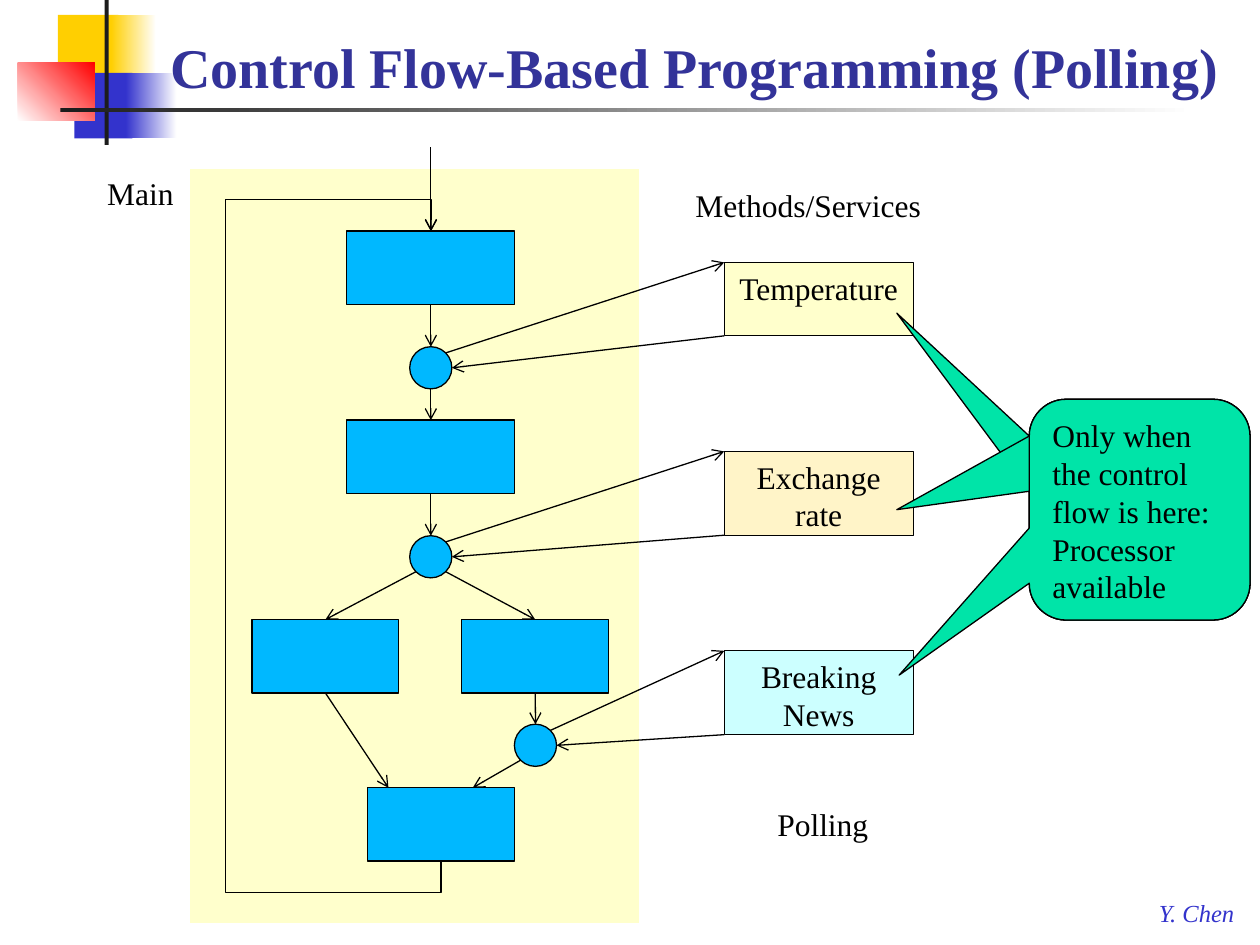
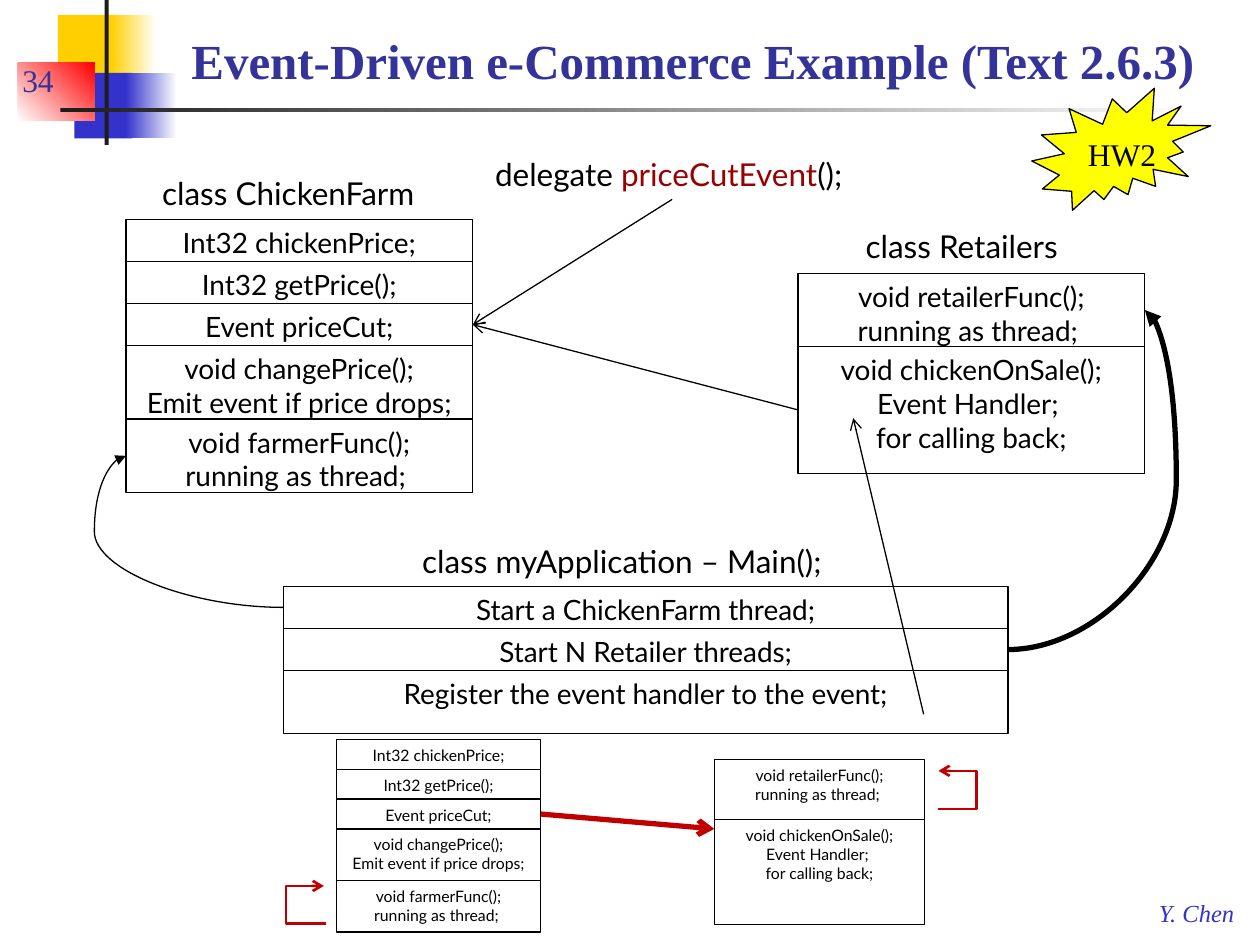
from itertools import accumulate
from lxml.etree import SubElement
from pptx import Presentation
from pptx.dml.color import RGBColor
from pptx.enum.shapes import MSO_CONNECTOR, MSO_SHAPE
from pptx.enum.text import MSO_ANCHOR, PP_ALIGN
from pptx.oxml.ns import qn
from pptx.util import Cm, Pt

BLACK = RGBColor(0x00, 0x00, 0x00)
WHITE = RGBColor(0xFF, 0xFF, 0xFF)
COAL = RGBColor(0x1C, 0x1C, 0x1C)
GOLD = RGBColor(0xFF, 0xCF, 0x01)
BLUE = RGBColor(0x33, 0x33, 0xCC)
NAVY = RGBColor(0x33, 0x33, 0x99)
RED = RGBColor(0xFF, 0x00, 0x00)
BRICK = RGBColor(0xC0, 0x00, 0x00)
WINE = RGBColor(0x99, 0x00, 0x00)
SKY = RGBColor(0x00, 0xB8, 0xFF)
CREAM = RGBColor(0xFF, 0xFF, 0xCC)
SAND = RGBColor(0xFF, 0xF4, 0xC8)
ICE = RGBColor(0xCC, 0xFF, 0xFF)
MINT = RGBColor(0x00, 0xE4, 0xA8)
YELLOW = RGBColor(0xFF, 0xFF, 0x00)

SERIF = dict(name="Times New Roman", size=Pt(18))
HEAD = dict(SERIF, size=Pt(32), bold=True)
SIGN = dict(SERIF, size=Pt(14), italic=True)
SANS = dict(name="Lato", size=Pt(18))
ROW = dict(SANS, size=Pt(16))
SMALL = dict(SANS, size=Pt(9))

DECOR = [
    ((1.17, 0.3, 1.22, 1.32), (GOLD,), 0),
    ((2.24, 0.3, 0.91, 1.32), (GOLD, WHITE), 0),
    ((1.5, 1.47, 1.17, 1.32), (BLUE,), 0),
    ((2.54, 1.47, 1.02, 1.32), (BLUE, WHITE), 0),
    ((0.36, 1.27, 1.55, 1.17), (WHITE, RED), 45),
    ((2.11, 0, 0.08, 2.92), (COAL,), 0),
    ((1.22, 2.18, 22.86, 0.08), (COAL, WHITE), 0),
]

STEPS = dict(
    first=(6.99, 4.66, 3.39, 1.48),
    second=(6.99, 8.47, 3.39, 1.48),
    left=(5.08, 12.49, 2.96, 1.48),
    right=(9.31, 12.49, 2.96, 1.48),
    last=(7.41, 15.88, 2.96, 1.48),
)
DOT = 0.85
POLLS = [
    ((8.26, 6.99), "Temperature", CREAM, 5.29, 1.48),
    ((8.26, 10.8), "Exchange rate", SAND, 9.1, 1.69),
    ((10.37, 14.6), "Breaking News", ICE, 13.12, 1.69),
]
LOOP = [(8.89, 17.36), (8.89, 17.99), (4.55, 17.99), (4.55, 4.02), (8.69, 4.02), (8.69, 4.66)]
NOTE = "Only when the control flow is here: Processor available"
TIPS = [(-1.1, -0.89, ""), (-1.1, 0, ""), (-1.09, 0.75, NOTE)]

FARM = [
    ["Int32 chickenPrice;"],
    ["Int32 getPrice();"],
    ["Event priceCut;"],
    ["void changePrice();", "Emit event if price drops;"],
    ["void farmerFunc();", "running as thread; "],
]
SHOP = [
    ["void retailerFunc();", "running as thread; "],
    ["void chickenOnSale();", "Event Handler; ", "for calling back;"],
]
MAIN = [
    ["Start a ChickenFarm thread;"],
    ["Start N Retailer threads;"],
    ["Register the event handler to the event;"],
]
NAMES = [
    ((3.02, 3.38, 5.66, 1.02), ["class ChickenFarm"]),
    ((17.2, 4.45, 4.5, 1.02), ["class Retailers"]),
    ((8.26, 10.8, 8.81, 1.02), ["class myApplication – Main();"]),
    ((9.73, 3, 11, 1.02), [[("delegate ", BLACK), ("priceCutEvent", WINE), ("();", BLACK)]]),
]
TURNS = [
    [(6.58, 18.62), (5.77, 18.62), (5.77, 17.86), (6.53, 17.86)],
    [(18.9, 16.31), (19.69, 16.31), (19.69, 15.54), (18.92, 15.54)],
]


def write(shape, lines, fmt, ink=BLACK, align=PP_ALIGN.LEFT, anchor=MSO_ANCHOR.TOP, wrap=True):
    frame = shape.text_frame
    frame.word_wrap = wrap
    frame.vertical_anchor = anchor
    for i, line in enumerate(lines):
        para = frame.add_paragraph() if i else frame.paragraphs[0]
        para.alignment = align
        for text, color in [(line, ink)] if isinstance(line, str) else line:
            run = para.add_run()
            run.text = text
            for key, value in fmt.items():
                setattr(run.font, key, value)
            run.font.color.rgb = color


def label(slide, box, lines, fmt, **more):
    shape = slide.shapes.add_textbox(*map(Cm, box))
    write(shape, lines, fmt, **more)
    return shape


def block(slide, box, fill, edge=BLACK, kind=MSO_SHAPE.RECTANGLE):
    shape = slide.shapes.add_shape(kind, *map(Cm, box))
    shape.shadow.inherit = False
    shape.fill.solid()
    shape.fill.fore_color.rgb = fill
    if edge is None:
        shape.line.fill.background()
    else:
        shape.line.color.rgb = edge
        shape.line.width = Pt(0.75)
    return shape


def stroke(shape, ink, width, tip):
    shape.line.color.rgb = ink
    shape.line.width = Pt(width)
    SubElement(shape.line._get_or_add_ln(), qn("a:tailEnd"), type=tip)


def spot(end):
    if isinstance(end[0], (int, float)):
        return tuple(map(Cm, end))
    shape, side = end
    across, down = [(0.5, 0), (0, 0.5), (0.5, 1), (1, 0.5)][side]
    return int(shape.left + across * shape.width), int(shape.top + down * shape.height)


def link(slide, start, end, ink=BLACK, width=0.75, tip="arrow", bend=None):
    kind = MSO_CONNECTOR.STRAIGHT if bend is None else MSO_CONNECTOR.CURVE
    line = slide.shapes.add_connector(kind, *spot(start), *spot(end))
    for point, join in ((start, line.begin_connect), (end, line.end_connect)):
        if not isinstance(point[0], (int, float)):
            join(*point)
    stroke(line, ink, width, tip)
    props = line._element.spPr
    SubElement(props, qn("a:effectLst"))
    if bend is not None:
        guides = props.find(qn("a:prstGeom")).get_or_add_avLst()
        SubElement(guides, qn("a:gd"), name="adj1", fmla=f"val {round(bend * 100000)}")


def trace(slide, points, ink, width):
    first, *rest = [tuple(map(Cm, p)) for p in points]
    pen = slide.shapes.build_freeform(*first, scale=1.0)
    pen.add_line_segments(rest, close=False)
    shape = pen.convert_to_shape()
    shape.shadow.inherit = False
    shape.fill.background()
    stroke(shape, ink, width, "arrow")


def stack(slide, x, y, width, heights, rows, fmt):
    shapes = []
    for top, height, lines in zip(accumulate(heights, initial=y), heights, rows):
        shape = block(slide, (x, top, width, height), WHITE)
        write(shape, lines, fmt, align=PP_ALIGN.CENTER)
        shapes.append(shape)
    return shapes


def begin(deck, title, box, size):
    slide = deck.slides.add_slide(deck.slide_layouts[6])
    for place, colors, angle in DECOR:
        shape = block(slide, place, colors[0], None)
        if len(colors) > 1:
            shape.fill.gradient()
            shape.fill.gradient_angle = angle
            for stop, color in zip(shape.fill.gradient_stops, colors):
                stop.color.rgb = color
    label(slide, (23.11, 17.98, 2.08, 0.84), ["Y. Chen"], SIGN, ink=BLUE, wrap=False)
    label(slide, box, [title], dict(HEAD, size=Pt(size)), ink=NAVY, anchor=MSO_ANCHOR.BOTTOM)
    return slide


def polling(deck):
    slide = begin(deck, "Control Flow-Based Programming (Polling)", (3.18, 0.56, 21.79, 1.57), 32)
    block(slide, (3.81, 3.39, 9.08, 15.24), CREAM, WHITE)
    for text, box in (
        ("Main", (1.91, 3.38, 1.85, 1.02)),
        ("Methods/Services", (13.77, 3.63, 5.1, 1.02)),
        ("Polling", (15.42, 16.1, 2.36, 1.02)),
    ):
        label(slide, box, [text], SERIF, wrap=False)
    step = {name: block(slide, box, SKY) for name, box in STEPS.items()}

    half = DOT / 2
    skew = half * 0.707
    dots, mids = [], []
    for (x, y), text, fill, top, height in POLLS:
        dots.append(block(slide, (x, y, DOT, DOT), SKY, kind=MSO_SHAPE.OVAL))
        mx, my = x + half, y + half
        mids.append((mx, my))
        service = block(slide, (14.6, top, 3.81, height), fill)
        write(service, [text], SERIF, align=PP_ALIGN.CENTER)
        link(slide, (mx + skew, my - skew), (14.6, top))
        link(slide, (14.6, top + height), (x + DOT, my))

    (ax, ay), (bx, by), (cx, cy) = mids
    for start, end in (
        ((ax, 2.97), (step["first"], 0)),
        ((step["first"], 2), (dots[0], 0)),
        ((ax, ay + half), (step["second"], 0)),
        ((step["second"], 2), (dots[1], 0)),
        ((bx - skew, by + skew), (step["left"], 0)),
        ((bx + skew, by + skew), (step["right"], 0)),
        ((step["right"], 2), (dots[2], 0)),
        ((step["left"], 2), (7.83, 15.88)),
        ((cx - skew, cy + skew), (9.53, 15.88)),
    ):
        link(slide, start, end)
    trace(slide, LOOP, BLACK, 0.75)

    for across, down, text in TIPS:
        note = block(slide, (20.75, 8.05, 4.45, 4.45), MINT, kind=MSO_SHAPE.ROUNDED_RECTANGULAR_CALLOUT)
        for i, value in enumerate((across, down, 0.167)):
            note.adjustments[i] = value
        if text:
            write(note, [text], SERIF)


def events(deck):
    slide = begin(deck, "Event-Driven e-Commerce Example (Text 2.6.3)", (3.61, 0.2, 21.59, 1.73), 28)
    label(slide, (0.2, 0.84, 5.28, 1.27), ["34"], SERIF, ink=NAVY, anchor=MSO_ANCHOR.BOTTOM)
    farm = stack(slide, 2.54, 4.42, 6.99, [0.85] * 3 + [1.48] * 2, FARM, ROW)
    shop = stack(slide, 16.09, 5.51, 6.99, [1.48, 2.55], SHOP, ROW)
    main = stack(slide, 5.72, 11.82, 14.6, [0.85, 0.85, 1.27], MAIN, ROW)
    mini = stack(slide, 6.78, 14.91, 4.12, [0.6] * 3 + [1.04] * 2, FARM, SMALL)
    stack(slide, 14.4, 15.31, 4.24, [1.21, 2.12], SHOP, SMALL)
    for box, lines in NAMES:
        label(slide, box, lines, SANS, wrap=False)

    link(slide, (main[0], 1), (farm[4], 1), tip="triangle", bend=1.2)
    link(slide, (main[1], 3), (shop[0], 3), width=3, tip="triangle", bend=1.23)
    link(slide, (18.62, 14.4), (17.2, 8.43))
    link(slide, (shop[1], 1), (farm[2], 3))
    link(slide, (13.55, 4.02), (farm[2], 3))
    link(slide, (mini[2], 3), (14.4, 16.71), BRICK, 3)
    for points in TURNS:
        trace(slide, points, BRICK, 1.5)
    block(slide, (20.8, 1.78, 3.61, 2.46), YELLOW, kind=MSO_SHAPE.EXPLOSION2)
    label(slide, (21.67, 2.59, 1.9, 1.02), ["HW2"], SERIF, align=PP_ALIGN.CENTER, wrap=False)


def main():
    deck = Presentation()
    deck.slide_width, deck.slide_height = Cm(25.4), Cm(19.05)
    polling(deck)
    events(deck)
    deck.save("out.pptx")


if __name__ == "__main__":
    main()
